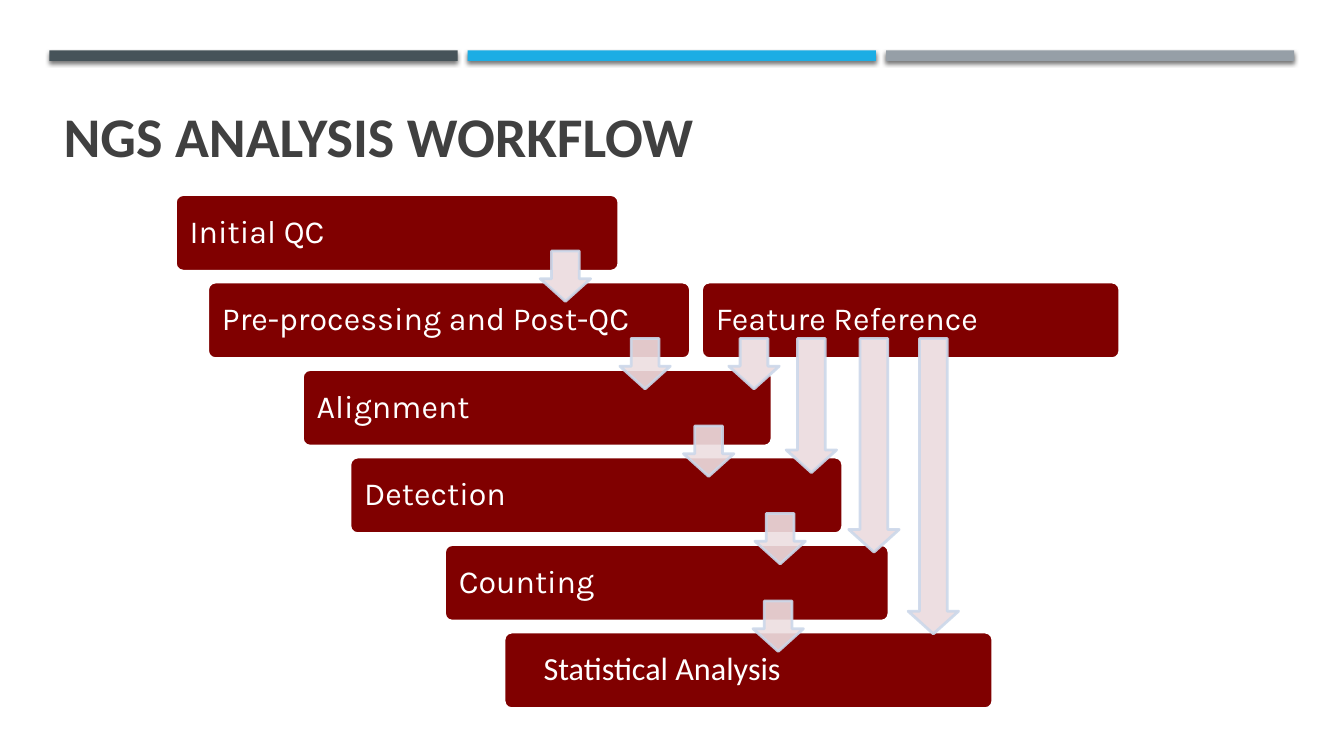
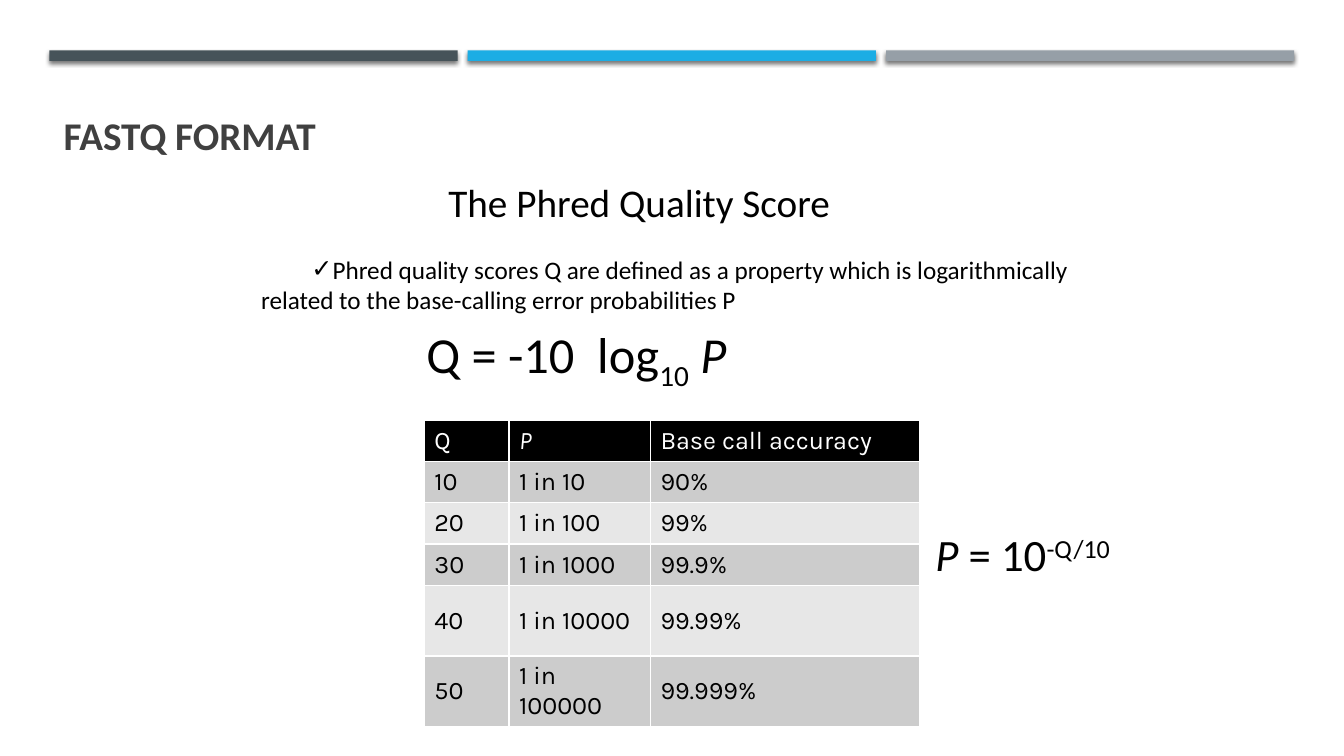
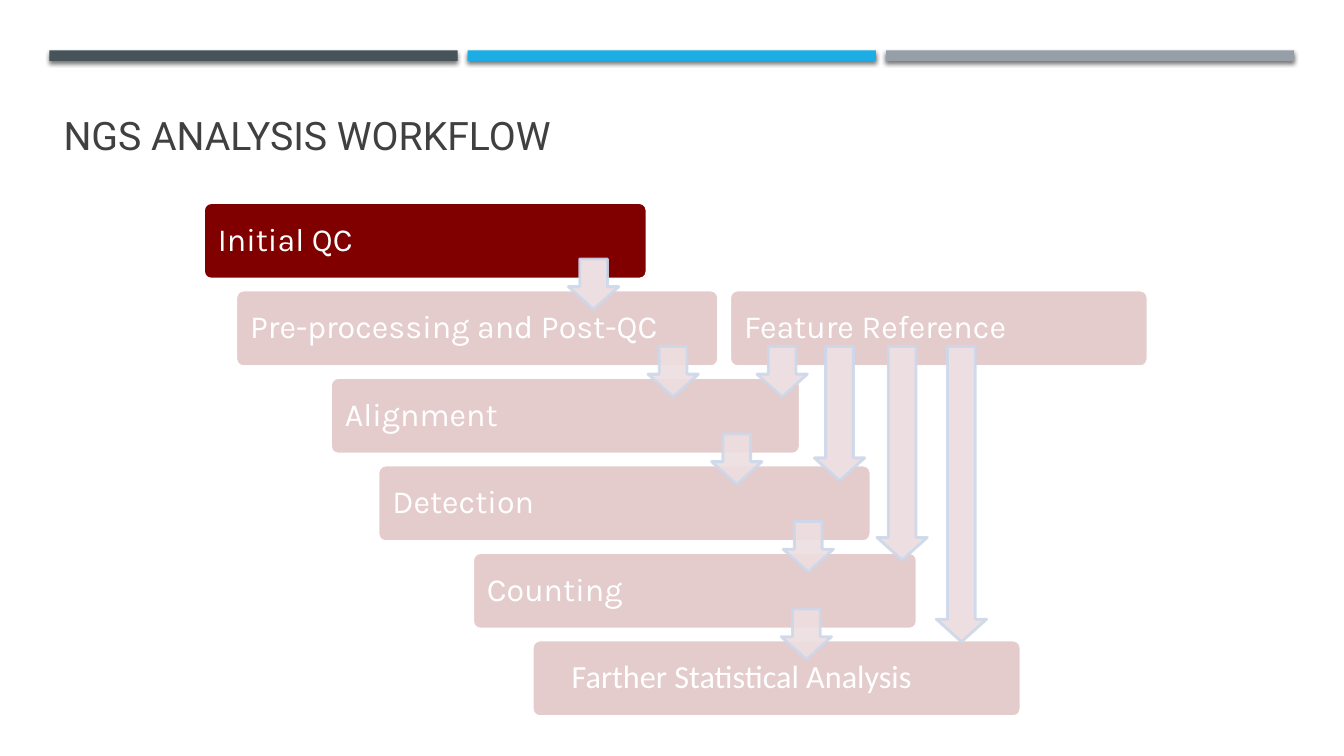
from dataclasses import dataclass
from typing import NamedTuple

import pptx
import pptx.dml.color
import pptx.enum.shapes
import pptx.enum.text
import pptx.oxml
import pptx.oxml.ns
import pptx.presentation
import pptx.shapes.autoshape
import pptx.slide
import pptx.text.text
import pptx.util
from lxml import etree

Pt = pptx.util.Pt
qn = pptx.oxml.ns.qn
MSO_SHAPE = pptx.enum.shapes.MSO_SHAPE
MIDDLE = pptx.enum.text.MSO_ANCHOR.MIDDLE
TOP = pptx.enum.text.MSO_ANCHOR.TOP


# Theme: colours, fonts and type sizes
@dataclass(frozen=True)
class Theme:
    white: str = "FFFFFF"
    black: str = "000000"
    title: str = "404040"
    step: str = "800000"
    arrow: str = "EDDEE1"
    arrow_edge: str = "CCD8EA"
    bands: tuple[str, ...] = ("465359", "1CADE4", "969FA7")
    table_rows: tuple[str, ...] = ("E7E7E7", "CCCCCC")
    plain: str = "Calibri"
    accent: str = "Karla"
    light: str = "Roboto"
    title_large: int = 40
    formula: int = 36
    inverse: int = 32
    heading: int = 28
    step_size: int = 23
    text: int = 18


THEME = Theme()


class Box(NamedTuple):
    left: float
    top: float
    width: float
    height: float


class Style(NamedTuple):
    font: str
    size: float
    color: str
    bold: bool = False


class Span(NamedTuple):
    text: str
    italic: bool = False
    baseline: int = 0


class Step(NamedTuple):
    label: str
    row: int
    left: float
    width: float
    font: str = THEME.accent
    inset: float = 8.64


class Arrow(NamedTuple):
    row: int
    left: float
    height: float = 36
    opacity: int = 90


# Workflow geometry, measured from the corner of the first step
ROW_PITCH, STEP_HEIGHT = 62.5, 54.7
ARROW_DROP, ARROW_WIDTH = 40.3, 36
STEPS = (
    Step("Initial QC", 0, 0, 316.8),
    Step("Pre-processing and Post-QC", 1, 23, 344.9),
    Step("Alignment", 2, 90.7, 335.5),
    Step("Detection", 3, 124.6, 352.1),
    Step("Counting", 4, 192.2, 317.5),
    Step("Statistical Analysis", 5, 234.7, 349.2, THEME.plain, 26.64),
    Step("Feature Reference", 1, 375.8, 298.8),
)
ARROWS = (
    Arrow(0, 260.6, opacity=100),
    Arrow(1, 317.5),
    Arrow(2, 362.9),
    Arrow(3, 414),
    Arrow(4, 412.6),
    Arrow(1, 395.3, opacity=100),
    Arrow(1, 436.3, 95.8, 100),
    Arrow(1, 481, 152.6, 100),
    Arrow(1, 523.4, 211, 100),
)

QUALITY_ROWS = (
    ("Q", "P", "Base call accuracy"),
    ("10", "1 in 10", "90%"),
    ("20", "1 in 100", "99%"),
    ("30", "1 in 1000", "99.9%"),
    ("40", "1 in 10000", "99.99%"),
    ("50", "1 in 100000", "99.999%"),
)
QUALITY_WIDTHS = (60.5, 101, 192.5)
QUALITY_HEIGHTS = (29.5,) * 4 + (50.4,) * 2


# Drawing helpers
def rgb(color: str) -> pptx.dml.color.RGBColor:
    return pptx.dml.color.RGBColor.from_string(color)


def lengths(box: Box) -> list[pptx.util.Length]:
    return [Pt(value) for value in box]


def set_opacity(solid_fill: etree._Element, percent: int) -> None:
    if percent < 100:
        etree.SubElement(solid_fill[0], qn("a:alpha"), val=str(percent * 1000))


def add_span(paragraph: pptx.text.text._Paragraph, span: Span, style: Style) -> None:
    run = paragraph.add_run()
    run.text = span.text
    run.font.name = style.font
    run.font.size = Pt(style.size)
    run.font.color.rgb = rgb(style.color)
    run.font.bold = style.bold
    run.font.italic = span.italic
    if span.baseline:
        run._r.get_or_add_rPr().set("baseline", str(span.baseline * 1000))


def set_frame(frame: pptx.text.text.TextFrame, insets: tuple[float, float, float, float],
              anchor: pptx.enum.text.MSO_ANCHOR) -> pptx.text.text._Paragraph:
    """Prepare a wrapped frame and return its first, left-aligned paragraph."""
    frame.word_wrap = True
    frame.auto_size = pptx.enum.text.MSO_AUTO_SIZE.NONE
    frame.vertical_anchor = anchor
    frame.margin_left, frame.margin_top, frame.margin_right, frame.margin_bottom = (
        Pt(inset) for inset in insets)
    paragraph = frame.paragraphs[0]
    paragraph.alignment = pptx.enum.text.PP_ALIGN.LEFT
    return paragraph


def add_block(slide: pptx.slide.Slide, kind: MSO_SHAPE, box: Box, color: str,
              opacity: int = 100) -> pptx.shapes.autoshape.Shape:
    block = slide.shapes.add_shape(kind, *lengths(box))
    block.shadow.inherit = False
    block.fill.solid()
    block.fill.fore_color.rgb = rgb(color)
    set_opacity(block.element.spPr.find(qn("a:solidFill")), opacity)
    block.line.fill.background()
    return block


def outline(block: pptx.shapes.autoshape.Shape, color: str, opacity: int = 100) -> None:
    block.line.color.rgb = rgb(color)
    block.line.width = Pt(2)
    set_opacity(block.element.spPr.find(qn("a:ln")).find(qn("a:solidFill")), opacity)


def add_text(slide: pptx.slide.Slide, box: Box, spans: list[Span], style: Style) -> None:
    frame = slide.shapes.add_textbox(*lengths(box)).text_frame
    paragraph = set_frame(frame, (7.2, 3.6, 7.2, 3.6), TOP)
    for span in spans:
        add_span(paragraph, span, style)


# Parts shared by the slides
def add_master_bands(deck: pptx.presentation.Presentation, slide: pptx.slide.Slide) -> None:
    """Draw the three top bands and move them to the slide master."""
    tree = deck.slide_master.element.cSld.spTree
    for index, color in enumerate(THEME.bands):
        band = add_block(slide, MSO_SHAPE.RECTANGLE,
                         Box(35.3 + index * 298.8, 36, 291.6, 7.5), color)
        shadow = etree.SubElement(band.element.spPr.find(qn("a:effectLst")), qn("a:outerShdw"),
                                  blurRad=str(Pt(3)), dist=str(Pt(2)), dir="5400000",
                                  algn="ctr", rotWithShape="0")
        tint = etree.SubElement(shadow, qn("a:srgbClr"), val=THEME.black)
        etree.SubElement(tint, qn("a:alpha"), val="55000")
        band.element.nvSpPr.cNvPr.set("id", str(101 + index))
        tree.append(band.element)


def set_title(slide: pptx.slide.Slide, text: str, style: Style) -> None:
    title = slide.shapes.title
    title.left, title.top, title.width, title.height = lengths(Box(45.4, 57.6, 868.3, 77.8))
    add_span(set_frame(title.text_frame, (0, 0, 0, 0), MIDDLE), Span(text), style)


# Workflow diagram
def add_step(slide: pptx.slide.Slide, step: Step, left: float, top: float,
             label: str, opacity: int) -> None:
    box = Box(left + step.left, top + step.row * ROW_PITCH, step.width, STEP_HEIGHT)
    block = add_block(slide, MSO_SHAPE.ROUNDED_RECTANGLE, box, THEME.step, opacity)
    block.adjustments[0] = 0.1
    outline(block, THEME.white)
    paragraph = set_frame(block.text_frame, (step.inset, 8.64, 7.2, 8.64), MIDDLE)
    paragraph.line_spacing = 0.9
    paragraph.space_after = Pt(8.1)
    add_span(paragraph, Span(label), Style(step.font, THEME.step_size, THEME.white))


def add_arrow(slide: pptx.slide.Slide, arrow: Arrow, left: float, top: float) -> None:
    box = Box(left + arrow.left, top + ARROW_DROP + arrow.row * ROW_PITCH,
              ARROW_WIDTH, arrow.height)
    block = add_block(slide, MSO_SHAPE.DOWN_ARROW, box, THEME.arrow, arrow.opacity)
    block.adjustments[0], block.adjustments[1] = 0.55, 0.45
    outline(block, THEME.arrow_edge, 90)


def add_workflow(slide: pptx.slide.Slide, left: float, top: float,
                 focus: str = "", renamed: dict[str, str] | None = None) -> None:
    """Draw the workflow; with a focus, every other step is faded."""
    for step in STEPS:
        label = (renamed or {}).get(step.label, step.label)
        add_step(slide, step, left, top, label, 100 if focus in ("", step.label) else 20)
    for arrow in ARROWS:
        add_arrow(slide, arrow, left, top)


# Quality score table and definition
def add_quality_table(slide: pptx.slide.Slide, left: float, top: float) -> None:
    box = Box(left, top, sum(QUALITY_WIDTHS), sum(QUALITY_HEIGHTS))
    table = slide.shapes.add_table(len(QUALITY_ROWS), len(QUALITY_WIDTHS), *lengths(box)).table
    for column, width in zip(table.columns, QUALITY_WIDTHS):
        column.width = Pt(width)
    for index, (row, height) in enumerate(zip(table.rows, QUALITY_HEIGHTS)):
        row.height = Pt(height)
        header = index == 0
        style = Style(THEME.accent, THEME.text, THEME.white if header else THEME.black)
        for cell, value in zip(row.cells, QUALITY_ROWS[index]):
            cell.vertical_anchor = MIDDLE
            cell.fill.solid()
            cell.fill.fore_color.rgb = rgb(THEME.black if header else THEME.table_rows[index % 2])
            add_span(cell.text_frame.paragraphs[0], Span(value, italic=value == "P"), style)
            properties = cell._tc.get_or_add_tcPr()
            for position, side in enumerate(("lnL", "lnR", "lnT", "lnB")):
                border = etree.Element(qn(f"a:{side}"), w=str(Pt(0.96)))
                paint = etree.SubElement(border, qn("a:solidFill"))
                etree.SubElement(paint, qn("a:srgbClr"), val=THEME.white)
                properties.insert(position, border)


def set_definition(slide: pptx.slide.Slide, text: str) -> None:
    body = slide.placeholders[1]
    body.left, body.top, body.width, body.height = lengths(Box(162, 177.8, 653.8, 50.4))
    paragraph = set_frame(body.text_frame, (7.2, 3.6, 7.2, 3.6), TOP)
    properties = paragraph._p.get_or_add_pPr()
    properties.set("marL", str(Pt(17.3)))
    properties.set("indent", str(Pt(36)))
    bullet_color = etree.SubElement(properties, qn("a:buClr"))
    etree.SubElement(bullet_color, qn("a:srgbClr"), val=THEME.black)
    etree.SubElement(properties, qn("a:buChar"), char="✓")
    paragraph.space_before = Pt(0)
    add_span(paragraph, Span(text), Style(THEME.plain, THEME.text, THEME.black))


def main() -> None:
    deck = pptx.Presentation()
    deck.slide_width, deck.slide_height = Pt(960), Pt(540)
    content_layout, title_layout = deck.slide_layouts[1], deck.slide_layouts[5]

    # Slide 1: whole workflow
    workflow = deck.slides.add_slide(title_layout)
    add_master_bands(deck, workflow)
    set_title(workflow, "NGS ANALYSIS WORKFLOW",
              Style(THEME.plain, THEME.title_large, THEME.title, bold=True))
    add_workflow(workflow, 125.3, 139)

    # Slide 2: Phred quality score
    fastq = deck.slides.add_slide(content_layout)
    set_title(fastq, "FASTQ FORMAT", Style(THEME.plain, THEME.heading, THEME.title, bold=True))
    add_text(fastq, Box(313.2, 123.8, 351.4, 40.3), [Span("The Phred Quality Score")],
             Style(THEME.plain, THEME.heading, THEME.black))
    set_definition(fastq, "Phred quality scores Q are defined as a property which is "
                          "logarithmically related to the base-calling error probabilities P")
    add_quality_table(fastq, 303.1, 300.2)
    add_text(fastq, Box(297.4, 227.5, 411, 56.2),
             [Span("Q = -10  log"), Span("10", baseline=-25), Span(" P", italic=True)],
             Style(THEME.plain, THEME.formula, THEME.black))
    add_text(fastq, Box(661, 373, 172.8, 45.4),
             [Span("P", italic=True), Span(" = 10"), Span("-Q/10", baseline=30)],
             Style(THEME.plain, THEME.inverse, THEME.black))

    # Slide 3: workflow with the first step in focus
    first_step = deck.slides.add_slide(title_layout)
    set_title(first_step, "NGS ANALYSIS WORKFLOW",
              Style(THEME.light, THEME.heading, THEME.title))
    add_workflow(first_step, 145.4, 144.7, focus="Initial QC",
                 renamed={"Statistical Analysis": "Farther Statistical Analysis"})

    deck.save("out.pptx")


if __name__ == "__main__":
    main()
